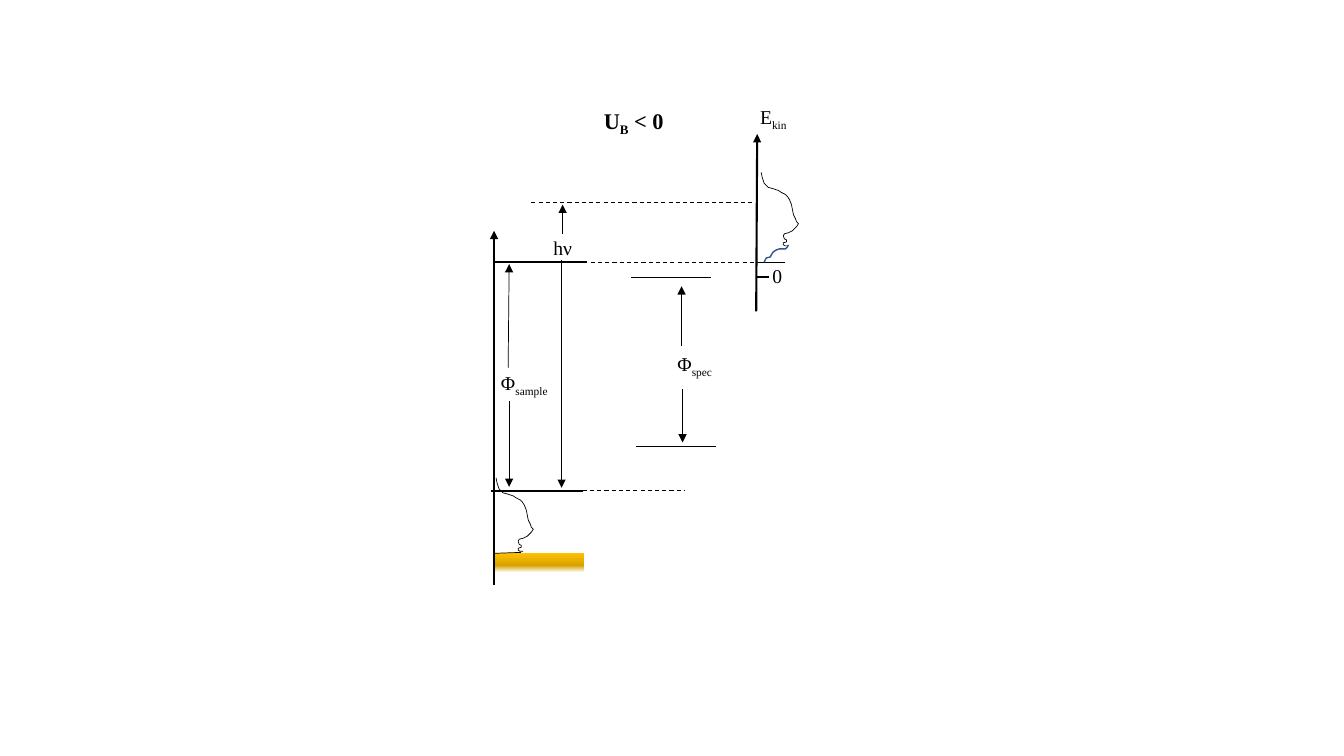
"""Build the energy level diagram for a negatively biased sample."""
from copy import deepcopy

from lxml import etree
from pptx import Presentation, dml, util as u
from pptx.dml import color
from pptx.enum import dml as styles, shapes, text
from pptx.oxml import ns


def tint(code):
    return color.RGBColor.from_string(code)


def write(label, left, top, width, height, sub="", rest="", size=14,
          bold=False, wrap=False, inset=0.1):
    box = page.shapes.add_textbox(*map(u.Inches, (left, top, width, height)))
    frame = box.text_frame
    frame.word_wrap = wrap
    frame.auto_size = text.MSO_AUTO_SIZE.SHAPE_TO_FIT_TEXT
    frame.margin_left = frame.margin_right = u.Inches(inset)
    para = frame.paragraphs[0]
    for part, baseline in ((label, 0), (sub, -25000), (rest, 0)):
        if part:
            span = para.add_run()
            span.text = part
            span.font.name = "Times New Roman"
            span.font.size = u.Pt(size)
            span.font.bold = bold
            span.font.color.rgb = tint("000000")
            if baseline:
                span.font._element.set("baseline", str(baseline))


deck = Presentation()
deck.slide_width, deck.slide_height = u.Inches(13.33), u.Inches(7.5)
page = deck.slides.add_slide(deck.slide_layouts[6])

band = page.shapes.add_shape(shapes.MSO_SHAPE.RECTANGLE, u.Inches(4.91),
                             u.Inches(5.49), u.Inches(0.88), u.Inches(0.19))
band.shadow.inherit = False
band.line.fill.background()
band.fill.gradient()
band.fill.gradient_angle = 90
stop_list = band._element.spPr.find(".//" + ns.qn("a:gsLst"))
stop_list.append(deepcopy(stop_list[0]))
stops = ((0, "FFFFFF"), (0.37, "D7A200"), (1, "FFC000"))
for stop, (position, code) in zip(band.fill.gradient_stops, stops):
    stop.position = position
    stop.color.rgb = tint(code)

axes = [(4.9, 5.8, 4.9, 2.29), (7.5, 3.09, 7.51, 1.33)]
zero_mark = [(7.5, 2.75, 7.63, 2.75)]
arrows = [
    (6.76, 3.43, 6.76, 2.84), (6.77, 3.86, 6.77, 4.39),
    (5.58, 2.32, 5.58, 2.03), (5.57, 2.58, 5.57, 4.84),
    (5.04, 3.65, 5.05, 2.62), (5.05, 3.98, 5.05, 4.83),
]
levels = [
    (4.91, 2.6, 5.82, 2.6), (4.87, 4.87, 5.78, 4.87),
    (6.31, 4.43, 7.1, 4.43), (6.26, 2.75, 7.05, 2.75),
]
guides = [(5.86, 2.6, 7.49, 2.6), (5.27, 2.01, 7.47, 2.01),
          (5.78, 4.87, 6.79, 4.87)]
spectrum_bases = [(5.17, 5.48, 4.89, 5.49), (7.79, 2.6, 7.51, 2.6)]

for lines, weight, arrow, dashed in (
    (axes, 1.5, True, False),
    (zero_mark, 1.5, False, False),
    (arrows, 0.5, True, False),
    (levels, 1, False, False),
    (guides, 0.75, False, True),
    (spectrum_bases, 0.5, False, False),
):
    for ends in lines:
        line = page.shapes.add_connector(shapes.MSO_CONNECTOR.STRAIGHT,
                                         *map(u.Inches, ends))
        line.line.width = u.Pt(weight)
        line.line.color.rgb = tint("000000")
        if dashed:
            line.line.dash_style = styles.MSO_LINE.DASH
        if arrow:
            etree.SubElement(line.line._get_or_add_ln(), ns.qn("a:tailEnd"),
                             type="triangle")
        etree.SubElement(line._element.spPr, ns.qn("a:effectLst"))

sample_spectrum = [
    (4.92, 4.74), (4.93, 4.79), (4.94, 4.82), (4.95, 4.85), (4.97, 4.87),
    (4.99, 4.89), (5.03, 4.9), (5.06, 4.91), (5.09, 4.92), (5.12, 4.94),
    (5.16, 4.96), (5.18, 4.98), (5.2, 5.01), (5.22, 5.06), (5.23, 5.11),
    (5.24, 5.16), (5.26, 5.2), (5.27, 5.23), (5.29, 5.25), (5.27, 5.28),
    (5.25, 5.3), (5.23, 5.32), (5.19, 5.34), (5.15, 5.35), (5.14, 5.37),
    (5.15, 5.4), (5.17, 5.41), (5.17, 5.43), (5.14, 5.44), (5.14, 5.46),
    (5.16, 5.47), (5.19, 5.47),
]
measured_spectrum = [(x + 2.63, y - 3.03) for x, y in sample_spectrum]
secondary_tail = [
    (7.82, 2.43), (7.81, 2.45), (7.79, 2.47), (7.73, 2.47), (7.7, 2.48),
    (7.67, 2.5), (7.65, 2.53), (7.64, 2.55), (7.6, 2.56), (7.59, 2.58),
    (7.58, 2.6),
]
for points, code, weight in (
    (sample_spectrum, "000000", 0.5),
    (measured_spectrum, "000000", 0.5),
    (secondary_tail, "325491", 1),
):
    start, *others = [(u.Inches(x), u.Inches(y)) for x, y in points]
    outline = page.shapes.build_freeform(*start)
    outline.add_line_segments(others, close=False)
    curve = outline.convert_to_shape()
    curve.shadow.inherit = False
    curve.fill.background()
    curve.line.color.rgb = tint(code)
    curve.line.width = u.Pt(weight)

write("0", 7.66, 2.57, 0.05, 0.34, wrap=True, inset=0)
write("Φ", 6.62, 3.44, 0.58, 0.34, sub="spec")
write("Φ", 4.87, 3.63, 0.72, 0.34, sub="sample")
write("hν", 5.39, 2.29, 0.39, 0.34)
write("E", 7.44, 0.99, 0.5, 0.34, sub="kin", wrap=True)
write("U", 5.89, 1.01, 0.83, 0.37, sub="B", rest=" < 0", size=16, bold=True)

deck.save("out.pptx")
